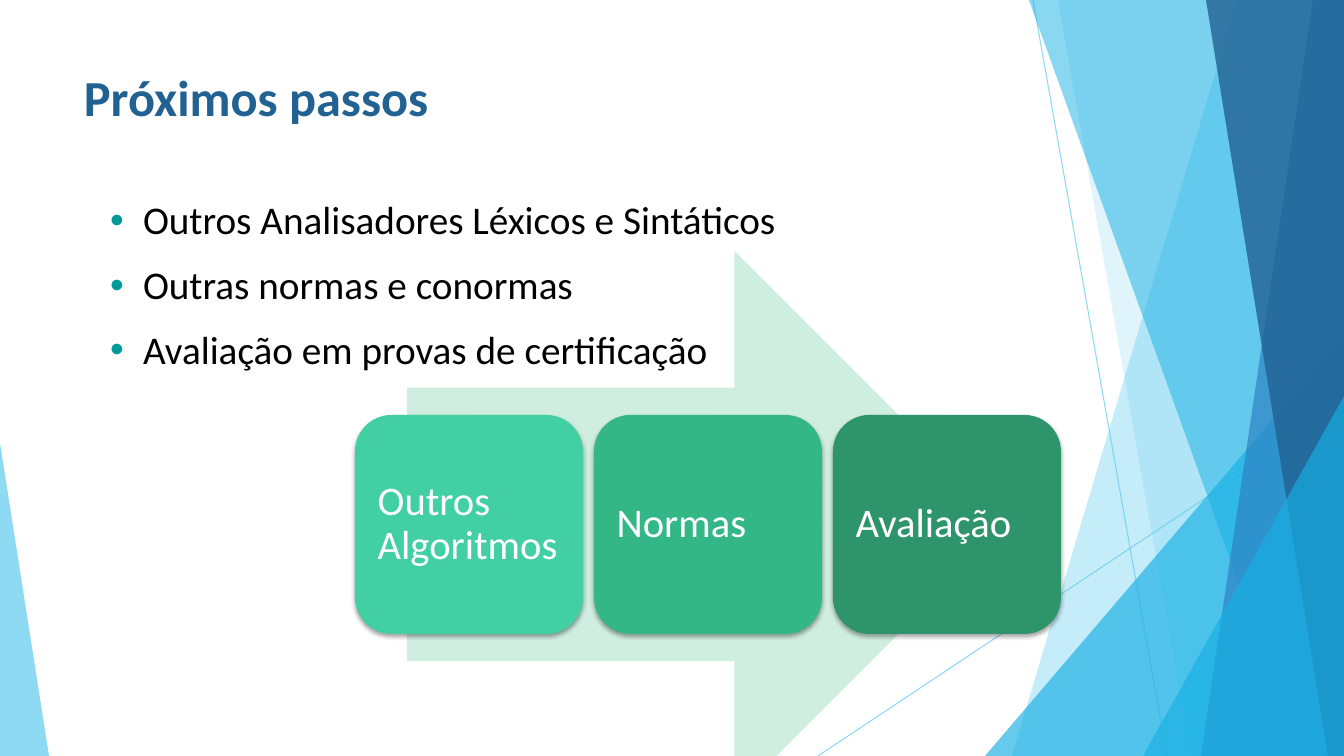
from dataclasses import dataclass

from pptx import Presentation
from pptx.dml.color import RGBColor
from pptx.enum.shapes import MSO_CONNECTOR, MSO_SHAPE
from pptx.enum.text import MSO_ANCHOR, PP_ALIGN
from pptx.oxml import parse_xml
from pptx.oxml.ns import nsdecls, qn
from pptx.util import Pt

LINE = MSO_CONNECTOR.STRAIGHT
TRIANGLE = MSO_SHAPE.ISOSCELES_TRIANGLE
ARROW = MSO_SHAPE.RIGHT_ARROW
ROUND = MSO_SHAPE.ROUNDED_RECTANGLE
TOP, MIDDLE = MSO_ANCHOR.TOP, MSO_ANCHOR.MIDDLE
LEFT = PP_ALIGN.LEFT

PX = 914400 / 100.8
WIDE, HIGH = 1344, 756
FONT = "Calibri"
COLORS = {
    "sky": "5FCBEF", "cyan": "17B0E4", "blue": "2E83C3", "navy": "226292",
    "black": "000000", "white": "FFFFFF", "teal": "009999",
    "pale": "CFEEE0", "mint": "42D0A2", "green": "33B787", "pine": "2E946B",
}


@dataclass
class Pane:
    """Band from the right edge to a slanted left side."""
    top: int
    foot: int
    color: str
    alpha: int


@dataclass
class Wedge:
    """Right triangle standing on the bottom edge."""
    left: int
    top: int
    width: int
    apex: int
    color: str
    alpha: int


@dataclass
class Step:
    label: str
    color: str


RAYS = [(1033, 0, 1167, HIGH), (WIDE, 406, 818, HIGH)]
DECOR = [
    Pane(1237, 1012, "sky", 36),
    Pane(1058, 1191, "sky", 20),
    Wedge(985, 336, 359, 1, "cyan", 66),
    Pane(1029, 1301, "cyan", 50),
    Pane(1313, 1201, "blue", 70),
    Pane(1206, 1328, "navy", 80),
    Wedge(1143, 396, 201, 1, "cyan", 66),
    Wedge(0, 443, 49, 0, "sky", 70),
]
TOPICS = [
    "Outros Analisadores Léxicos e Sintáticos",
    "Outras normas e conormas",
    "Avaliação em provas de certificação",
]
STEPS = [
    Step("Outros Algoritmos", "mint"),
    Step("Normas", "green"),
    Step("Avaliação", "pine"),
]


def emu(*px: int) -> list[int]:
    return [round(n * PX) for n in px]


def rgb(name: str) -> RGBColor:
    return RGBColor.from_string(COLORS[name])


def fade(shape, alpha: int) -> None:
    for color in shape.element.iter(qn("a:srgbClr")):
        color.append(parse_xml(f'<a:alpha {nsdecls("a")} val="{alpha * 1000}"/>'))


def paint(shape, color: str, alpha: int = 100) -> None:
    shape.shadow.inherit = False
    shape.fill.solid()
    shape.fill.fore_color.rgb = rgb(color)
    shape.line.fill.background()
    if alpha < 100:
        fade(shape, alpha)


def write(shape, lines: list[str], *, size: int, color: str, bold: bool = False,
          anchor=TOP, inset: tuple[int, int] = (9, 5), before: int = 0,
          bullet: str = "") -> None:
    frame = shape.text_frame
    frame.word_wrap = True
    frame.vertical_anchor = anchor
    frame.margin_left, frame.margin_top = emu(*inset)
    frame.margin_right, frame.margin_bottom = emu(*inset)
    for i, line in enumerate(lines):
        para = frame.add_paragraph() if i else frame.paragraphs[0]
        para.alignment = LEFT
        para.line_spacing = 0.9
        para.space_before = Pt(before)
        run = para.add_run()
        run.text = line
        font = run.font
        font.name, font.size, font.bold = FONT, Pt(size), bold
        font.color.rgb = rgb(color)
        if bullet:
            add_dot(para, bullet)


def add_dot(para, color: str) -> None:
    props = para._p.get_or_add_pPr()
    gap = emu(33)[0]
    props.set("marL", str(gap))
    props.set("indent", str(-gap))
    space = nsdecls("a")
    props.append(parse_xml(
        f'<a:buClr {space}><a:srgbClr val="{COLORS[color]}"/></a:buClr>'))
    props.append(parse_xml(f'<a:buFont {space} typeface="Arial"/>'))
    props.append(parse_xml(f'<a:buChar {space} char="•"/>'))


def cast(shape) -> None:
    effects = shape.element.spPr.find(qn("a:effectLst"))
    effects.append(parse_xml(
        f'<a:outerShdw {nsdecls("a")} blurRad="{Pt(3)}" dist="{Pt(2)}" '
        'dir="5400000" rotWithShape="0"><a:srgbClr val="000000">'
        '<a:alpha val="35000"/></a:srgbClr></a:outerShdw>'))


def draw_ray(shapes, ends: tuple[int, int, int, int]) -> None:
    ray = shapes.add_connector(LINE, *emu(*ends))
    ray.line.color.rgb = rgb("sky")
    ray.line.width = Pt(0.75)
    fade(ray, 70)
    ray.element.spPr.append(parse_xml(f'<a:effectLst {nsdecls("a")}/>'))


def draw_pane(shapes, pane: Pane) -> None:
    path = shapes.build_freeform(pane.top, 0, scale=PX)
    path.add_line_segments([(WIDE, 0), (WIDE, HIGH), (pane.foot, HIGH)], close=True)
    paint(path.convert_to_shape(), pane.color, pane.alpha)


def draw_wedge(shapes, wedge: Wedge) -> None:
    box = emu(wedge.left, wedge.top, wedge.width, HIGH - wedge.top)
    shape = shapes.add_shape(TRIANGLE, *box)
    shape.adjustments[0] = wedge.apex
    paint(shape, wedge.color, wedge.alpha)


def draw_step(shapes, step: Step, left: int) -> None:
    card = shapes.add_shape(ROUND, *emu(left, 415, 228, 219))
    paint(card, step.color)
    cast(card)
    write(card, [step.label], size=29, color="white", anchor=MIDDLE, inset=(12, 12))
    card.text_frame.margin_right = emu(10)[0]


def main() -> None:
    deck = Presentation()
    deck.slide_width, deck.slide_height = emu(WIDE, HIGH)
    shapes = deck.slides.add_slide(deck.slide_layouts[6]).shapes

    # Backdrop
    for ends in RAYS:
        draw_ray(shapes, ends)
    for part in DECOR:
        if isinstance(part, Pane):
            draw_pane(shapes, part)
        else:
            draw_wedge(shapes, part)

    # Title and topics
    title = shapes.add_textbox(*emu(75, 68, 963, 81))
    write(title, ["Próximos passos"], size=36, color="navy", bold=True)
    body = shapes.add_textbox(*emu(101, 196, 690, 191))
    write(body, TOPICS, size=28, color="black", before=16, bullet="teal")

    # Process arrow with its steps
    paint(shapes.add_shape(ARROW, *emu(407, 251, 601, 547)), "pale")
    for i, step in enumerate(STEPS):
        draw_step(shapes, step, 355 + 239 * i)

    deck.save("out.pptx")


if __name__ == "__main__":
    main()
